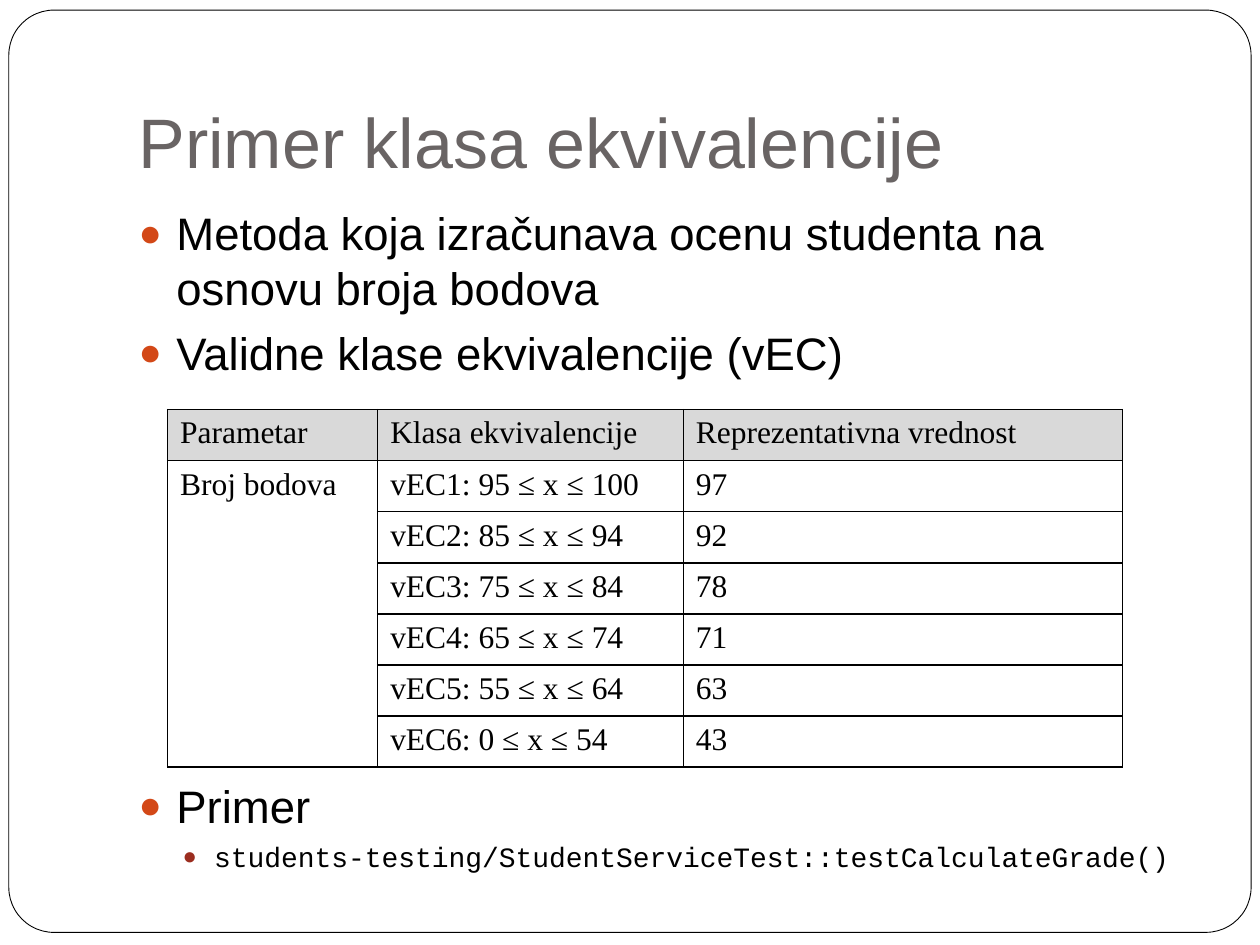
import pptx
import pptx.dml.color
import pptx.enum.shapes
import pptx.enum.text
import pptx.oxml
import pptx.oxml.ns
import pptx.util

Inches, Pt = pptx.util.Inches, pptx.util.Pt
NS = pptx.oxml.ns.nsdecls("a")
WIDE, HIGH = 10, 7.5

ROWS = [
    ("Parametar", "Klasa ekvivalencije", "Reprezentativna vrednost"),
    ("Broj bodova", "vEC1: 95 ≤ x ≤ 100", "97"),
    ("", "vEC2: 85 ≤ x ≤ 94", "92"),
    ("", "vEC3: 75 ≤ x ≤ 84", "78"),
    ("", "vEC4: 65 ≤ x ≤ 74", "71"),
    ("", "vEC5: 55 ≤ x ≤ 64", "63"),
    ("", "vEC6: 0 ≤ x ≤ 54", "43"),
]

# text, level, space before, size, font, bullet colour
# The third item leaves room for the table above it.
ITEMS = [
    ("Metoda koja izračunava ocenu studenta na osnovu broja bodova",
     0, 0, 26, "Arial", "D34817"),
    ("Validne klase ekvivalencije (vEC)", 0, 5.8, 26, "Arial", "D34817"),
    ("Primer", 0, 228, 26, "Arial", "D34817"),
    ("students-testing/StudentServiceTest::testCalculateGrade()",
     1, 3.7, 16, "Courier New", "9B2D1F"),
]
INDENTS = [(0.3, -0.3), (0.6, -0.25)]


def color(code):
    return pptx.dml.color.RGBColor.from_string(code)


def style(para, size, name, code):
    para.font.size = Pt(size)
    para.font.name = name
    para.font.color.rgb = color(code)


def place(shape, box):
    shape.left, shape.top, shape.width, shape.height = map(Inches, box)


def add_frame(slide, box):
    kind = pptx.enum.shapes.MSO_SHAPE.ROUNDED_RECTANGLE
    frame = slide.shapes.add_shape(kind, *map(Inches, box))
    frame.adjustments[0] = 0.049
    frame.shadow.inherit = False
    frame.fill.solid()
    frame.fill.fore_color.rgb = color("FFFFFF")
    frame.line.color.rgb = color("000000")
    frame.line.width = Pt(0.5)
    # Send the frame behind the placeholders
    slide.shapes._spTree.insert(2, frame._element)


def fill_title(slide, box):
    title = slide.shapes.title
    place(title, box)
    frame = title.text_frame
    frame.text = "Primer klasa ekvivalencije"
    frame.auto_size = pptx.enum.text.MSO_AUTO_SIZE.NONE
    frame.vertical_anchor = pptx.enum.text.MSO_ANCHOR.BOTTOM
    frame.margin_bottom = Inches(0.1)
    para = frame.paragraphs[0]
    para.alignment = pptx.enum.text.PP_ALIGN.LEFT
    style(para, 40, "Arial", "696464")


def add_bullet(para, level, code):
    left, hang = INDENTS[level]
    props = para._p.get_or_add_pPr()
    props.set("marL", str(Inches(left)))
    props.set("indent", str(Inches(hang)))
    for part in (
        f'<a:buClr {NS}><a:srgbClr val="{code}"/></a:buClr>',
        f'<a:buSzPct {NS} val="85000"/>',
        f'<a:buFont {NS} typeface="Arial"/>',
        f'<a:buChar {NS} char="●"/>',
    ):
        props.append(pptx.oxml.parse_xml(part))


def fill_body(slide, box):
    body = slide.placeholders[1]
    place(body, box)
    frame = body.text_frame
    frame.auto_size = pptx.enum.text.MSO_AUTO_SIZE.NONE
    frame.text = "\n".join(item[0] for item in ITEMS)
    for para, item in zip(frame.paragraphs, ITEMS):
        text, level, space, size, name, code = item
        para.level = level
        add_bullet(para, level, code)
        para.space_before = Pt(space)
        style(para, size, name, "000000")


def add_edges(cell):
    props = cell._tc.get_or_add_tcPr()
    for spot, side in enumerate(("lnL", "lnR", "lnT", "lnB")):
        props.insert(spot, pptx.oxml.parse_xml(
            f'<a:{side} {NS} w="{Pt(1)}"><a:solidFill>'
            f'<a:srgbClr val="000000"/></a:solidFill></a:{side}>'))


def add_grid(slide, box):
    shape = slide.shapes.add_table(len(ROWS), 3, *map(Inches, box))
    table = shape.table
    table.first_row = table.horz_banding = False
    for col, share in zip(table.columns, (0.22, 0.32, 0.46)):
        col.width = Inches(box[2] * share)
    for r, row in enumerate(ROWS):
        for c, text in enumerate(row):
            cell = table.cell(r, c)
            cell.text = text
            cell.fill.solid()
            cell.fill.fore_color.rgb = color("FFFFFF" if r else "D9D9D9")
            add_edges(cell)
            style(cell.text_frame.paragraphs[0], 18,
                  "Times New Roman", "000000")
    table.cell(1, 0).merge(table.cell(len(ROWS) - 1, 0))


def main():
    deck = pptx.Presentation()
    deck.slide_width, deck.slide_height = Inches(WIDE), Inches(HIGH)
    slide = deck.slides.add_slide(deck.slide_layouts[1])
    left, span = WIDE * 0.1, WIDE * 0.85
    add_frame(slide, (0.07, 0.08, 9.86, 7.32))
    fill_title(slide, (left, HIGH * 0.04, span, 1.25))
    fill_body(slide, (left, 1.58, span, 5.58))
    add_grid(slide, (1.33, 3.25, 7.58, 2.84))
    deck.save("out.pptx")


if __name__ == "__main__":
    main()
